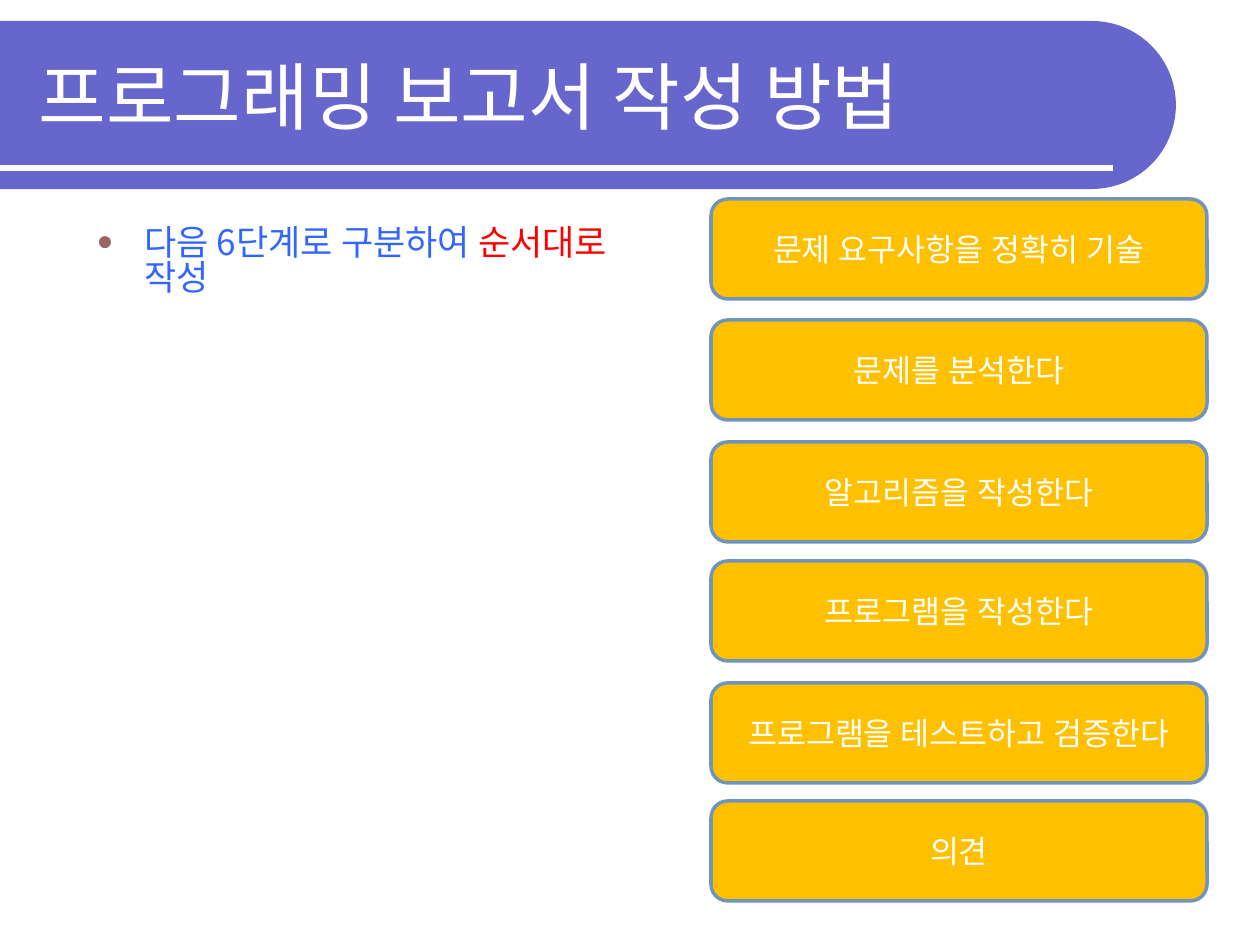
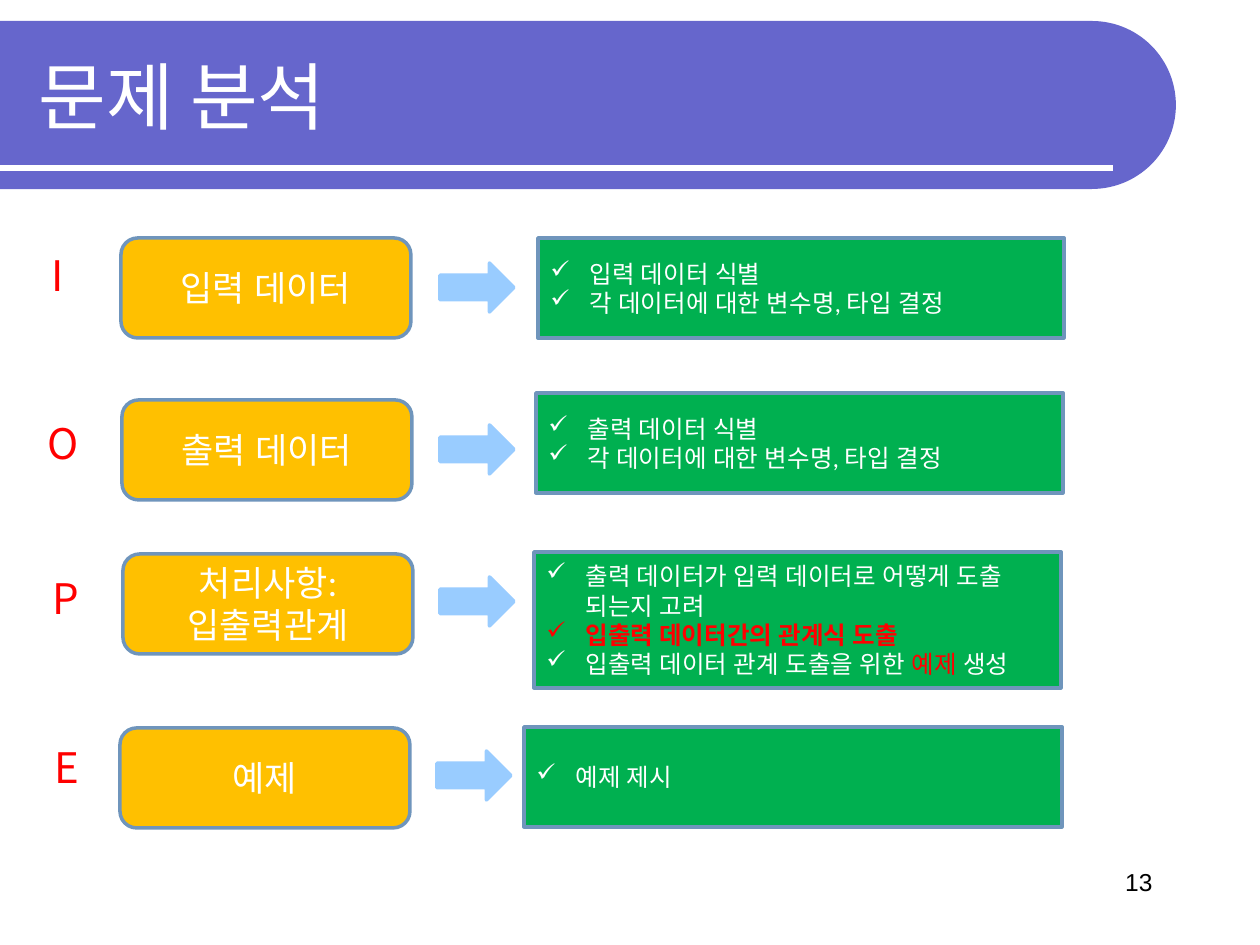
import math

from lxml import etree
from pptx import Presentation
from pptx.dml.color import RGBColor
from pptx.enum.shapes import MSO_CONNECTOR, MSO_SHAPE
from pptx.enum.text import MSO_ANCHOR, MSO_AUTO_SIZE, PP_ALIGN
from pptx.oxml.ns import qn
from pptx.util import Inches, Pt

LEFT, CENTER, RIGHT = PP_ALIGN.LEFT, PP_ALIGN.CENTER, PP_ALIGN.RIGHT
TOP, MIDDLE = MSO_ANCHOR.TOP, MSO_ANCHOR.MIDDLE
ROUNDED, RECT, ARROW = MSO_SHAPE.ROUNDED_RECTANGLE, MSO_SHAPE.RECTANGLE, MSO_SHAPE.RIGHT_ARROW
STRAIGHT = MSO_CONNECTOR.STRAIGHT
NO_FIT = MSO_AUTO_SIZE.NONE

PX = 7257  # EMU per px, 126 px to the inch
rgb = RGBColor.from_string
WHITE, BLACK, RED, BLUE = "FFFFFF", "000000", "FF0000", "3366FF"
BAND, ORANGE, GREEN = "6666CC", "FFC000", "00B050"
EDGE, SKY, DOT = "6F95BC", "99CCFF", "996666"
SANS, LATO, ARIAL = "Noto Sans CJK KR", "Lato", "Arial"


def write(tf, paras, size, font, align=LEFT, anchor=MIDDLE, bullet=None, spacing=None):
    """Fill a frame; a paragraph is a list of (text, colour[, bold]) runs."""
    tf.auto_size = NO_FIT
    tf.vertical_anchor = anchor
    for i, runs in enumerate(paras):
        p = tf.add_paragraph() if i else tf.paragraphs[0]
        p.alignment = align
        if spacing:
            p.line_spacing = spacing
        if bullet:
            char, color, percent, indent = bullet
            pPr = p._p.get_or_add_pPr()
            pPr.set("marL", str(indent * PX))
            pPr.set("indent", str(-indent * PX))
            clr = etree.SubElement(pPr, qn("a:buClr"))
            etree.SubElement(clr, qn("a:srgbClr"), val=color or runs[0][1])
            etree.SubElement(pPr, qn("a:buSzPct"), val=str(percent * 1000))
            etree.SubElement(pPr, qn("a:buChar"), char=char)
        for text, color, *bold in runs:
            r = p.add_run()
            r.text = text
            r.font.size = Pt(size)
            r.font.name = font
            r.font.bold = bool(bold)
            r.font.color.rgb = rgb(color)
            etree.SubElement(r._r.get_or_add_rPr(), qn("a:ea"), typeface=font)


def add_box(s, kind, x, y, w, h, fill, line):
    sp = s.shapes.add_shape(kind, x * PX, y * PX, w * PX, h * PX)
    sp.shadow.inherit = False
    sp.fill.solid()
    sp.fill.fore_color.rgb = rgb(fill)
    sp.line.color.rgb = rgb(line)
    sp.line.width = Pt(2)
    return sp


prs = Presentation()
prs.slide_width, prs.slide_height = Inches(10), Inches(7.5)
steps = prs.slides.add_slide(prs.slide_layouts[1])
analysis = prs.slides.add_slide(prs.slide_layouts[5])

# Title band with a round right end, and its white rule
angles = [math.radians(a) for a in range(-90, 91, 3)]
arc = [(round((1092 + 84 * math.cos(a)) * PX), round((105 + 84 * math.sin(a)) * PX))
       for a in angles]
fb = steps.shapes.build_freeform(0, 21 * PX)
fb.add_line_segments(arc + [(0, 189 * PX)], close=True)
band = fb.convert_to_shape()
band.shadow.inherit = False
band.fill.solid()
band.fill.fore_color.rgb = rgb(BAND)
band.line.fill.background()

rule = steps.shapes.add_connector(STRAIGHT, 0, 168 * PX, 1113 * PX, 168 * PX)
rule.line.color.rgb = rgb(WHITE)
rule.line.width = Pt(3)
etree.SubElement(rule._element.spPr, qn("a:effectLst"))

# Both belong to the master, so every slide shows them
for sp in (band, rule):
    prs.slide_master.shapes.element.append(sp.element)

# Titles
for s, title in ((steps, "프로그래밍 보고서 작성 방법"), (analysis, "문제 분석")):
    sp = s.shapes.title
    sp.left, sp.top, sp.width, sp.height = 26 * PX, 32 * PX, 1105 * PX, 126 * PX
    write(sp.text_frame, [[(title, WHITE)]], 42, SANS)

# Slide 1: lead sentence
body = steps.placeholders[1]
body.left, body.top, body.width, body.height = 84 * PX, 221 * PX, 590 * PX, 659 * PX
lead = [("다음 6단계로 구분하여 ", BLUE), ("순서대로", RED), (" 작성", BLUE)]
write(body.text_frame, [lead], 20, SANS, anchor=TOP,
      bullet=("●", DOT, 80, 48), spacing=0.83)
body.text_frame.paragraphs[0].space_before = Pt(5)

# Slide 1: the six steps
for y, step in (
    (199, "문제 요구사항을 정확히 기술"),
    (320, "문제를 분석한다"),
    (442, "알고리즘을 작성한다"),
    (561, "프로그램을 작성한다"),
    (683, "프로그램을 테스트하고 검증한다"),
    (801, "의견"),
):
    sp = add_box(steps, ROUNDED, 711, y, 496, 100, ORANGE, EDGE)
    write(sp.text_frame, [[(step, WHITE)]], 18, LATO, CENTER)

# Slide 2: one row each of letter, label, arrow and details
variables = [("각 데이터에 대한 변수명, 타입 결정", WHITE)]
rows = [
    # letter (text, x, y, w), label (lines, x, y), arrow (x, y), details (x, y, w, h), items
    (("I", 39, 249, 40), (["입력 데이터"], 121, 238), (440, 263), (538, 238, 526, 100),
     [[("입력 데이터 식별", WHITE)], variables]),
    (("O", 35, 417, 55), (["출력 데이터"], 122, 400), (440, 425), (536, 393, 527, 100),
     [[("출력 데이터 식별", WHITE)], variables]),
    (("P", 40, 572, 50), (["처리사항:", "입출력관계"], 123, 554), (440, 577), (534, 552, 527, 136),
     [[("출력 데이터가 입력 데이터로 어떻게 도출 되는지 고려", WHITE)],
      [("입출력 데이터간의 관계식 도출", RED, True)],
      [("입출력 데이터 관계 도출을 위한 ", WHITE), ("예제", RED), (" 생성", WHITE)]]),
    (("E", 42, 741, 52), (["예제"], 120, 728), (437, 751), (524, 727, 538, 100),
     [[("예제 제시", WHITE)]]),
]
for (letter, x, y, w), (lines, label_x, label_y), arrow_at, details_at, items in rows:
    sp = add_box(analysis, ROUNDED, label_x, label_y, 290, 100, ORANGE, EDGE)
    write(sp.text_frame, [[(line, WHITE)] for line in lines], 20, LATO, CENTER)

    sp = add_box(analysis, RECT, *details_at, GREEN, EDGE)
    write(sp.text_frame, items, 14, LATO, bullet=("✓", None, 100, 39))

    add_box(analysis, ARROW, *arrow_at, 74, 49, SKY, SKY)

    tb = analysis.shapes.add_textbox(x * PX, y * PX, w * PX, 63 * PX)
    tb.text_frame.word_wrap = False
    write(tb.text_frame, [[(letter, RED)]], 24, SANS, anchor=TOP, spacing=0.9)

# Slide 2: page number
tb = analysis.shapes.add_textbox(903 * PX, 861 * PX, 262 * PX, 63 * PX)
tb.text_frame.word_wrap = True
write(tb.text_frame, [[("13", BLACK)]], 14, ARIAL, RIGHT, TOP)

prs.save("out.pptx")
